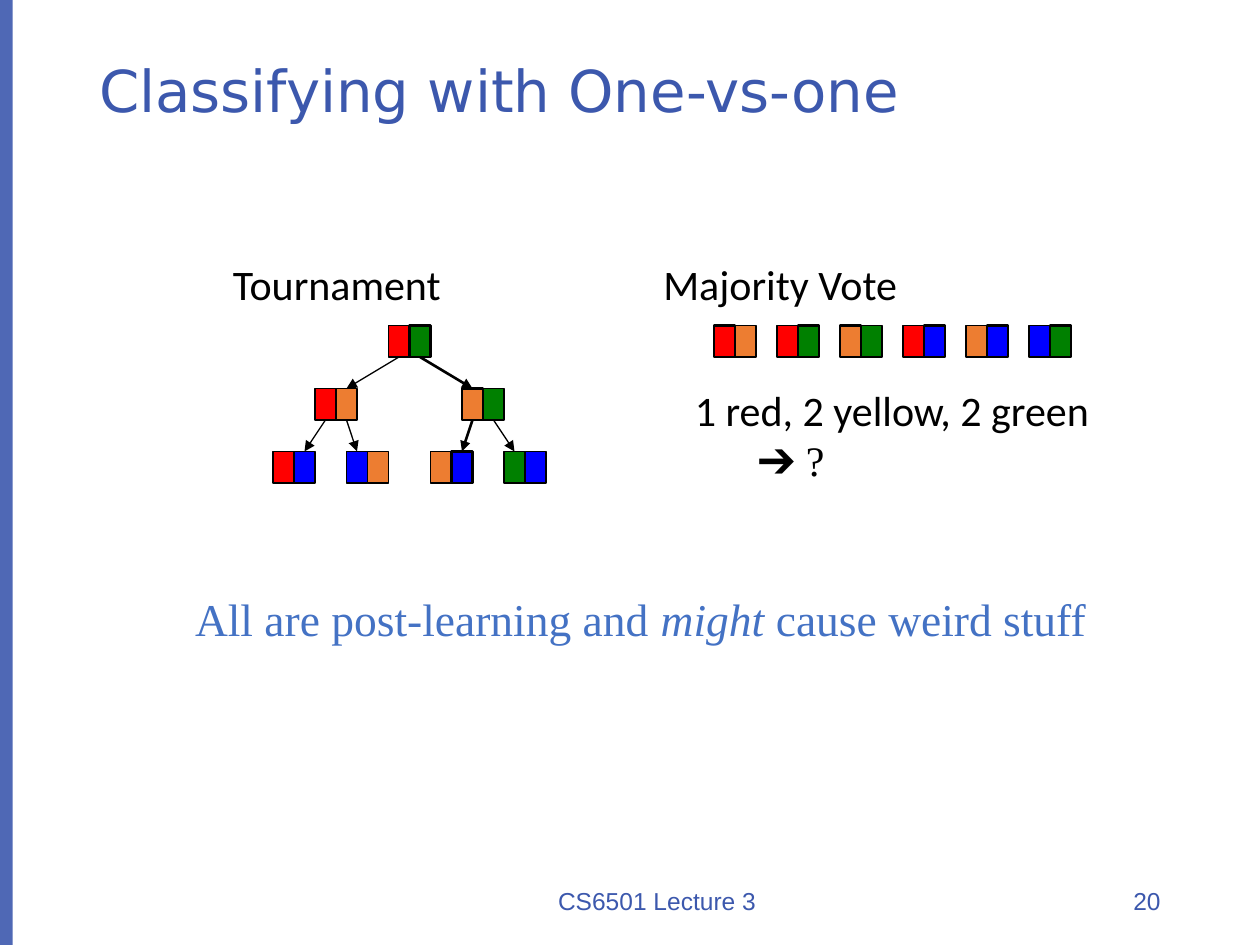
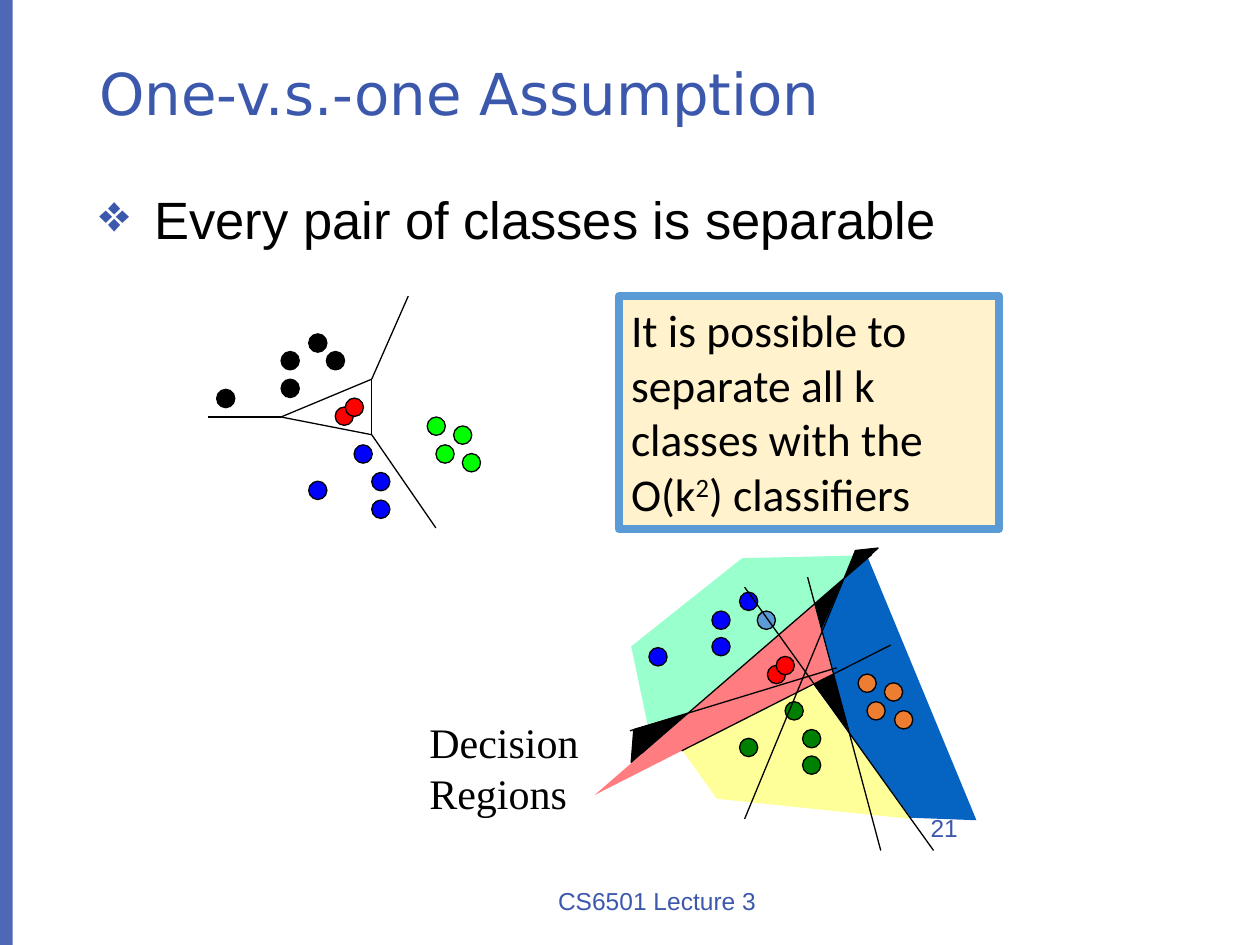
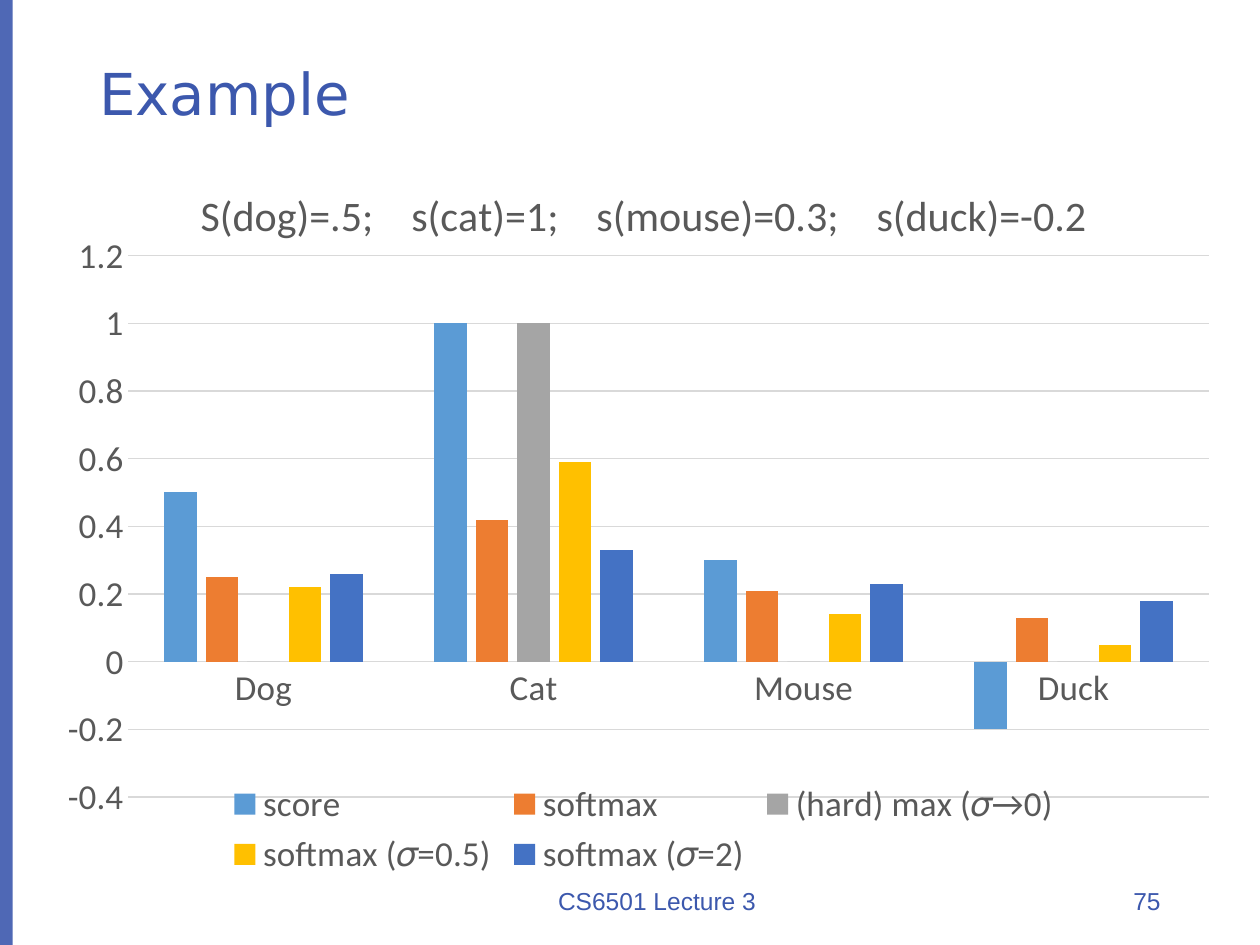
"""Build three lecture slides on multiclass classification."""
from lxml.etree import SubElement as Sub
from pptx import Presentation
from pptx.chart.data import CategoryChartData as Data
from pptx.dml.color import RGBColor as Rgb
from pptx.enum.chart import XL_CHART_TYPE as Kind, XL_LEGEND_POSITION as Spot, XL_TICK_MARK as Tick
from pptx.enum.shapes import MSO_CONNECTOR as Link, MSO_SHAPE as Form
from pptx.enum.text import MSO_ANCHOR as Anchor, PP_ALIGN as Align
from pptx.oxml.ns import qn
from pptx.util import Pt

INK = {
    "brand": "3C58AD", "black": "000000", "red": "FF0000", "green": "008000",
    "blue": "0000FF", "orange": "ED7D31", "lime": "00FF00", "sky": "5B9BD5",
    "azure": "4472C4", "cream": "FFF2CC", "pink": "FF7C80", "mint": "99FFCC",
    "yellow": "FFFF99", "navy": "0563C1", "gray": "A5A5A5", "gold": "FFC000",
    "text": "595959", "grid": "D9D9D9",
}
CODES = {"R": "red", "O": "orange", "G": "green", "B": "blue"}
SERIF = "Times New Roman"


def rgb(name):
    return Rgb.from_string(INK[name])


def apply(item, **form):
    for key, val in form.items():
        setattr(item, key, val)


def font(item, ink, **form):
    apply(item, **form)
    item.color.rgb = rgb(ink)


class Deck:
    """Holds the shared style and the current slide."""

    def __init__(self):
        self.show = Presentation()
        apply(self.show, slide_width=Pt(720), slide_height=Pt(540))

    def page(self, title, num, lead=0.9, spot=(565.2, 500.4, 105.1, 28.8)):
        self.slide = self.show.slides.add_slide(self.show.slide_layouts[6])
        self.shapes = self.slide.shapes
        bar = self.shape((0, 0, 7.2, 540), "brand")
        tint = bar.element.spPr.find(".//" + qn("a:srgbClr"))
        Sub(tint, qn("a:alpha"), val="90000")
        mid = {"vertical_anchor": Anchor.MIDDLE}
        self.text((49.7, 28.8, 620.6, 53.3), [[title]], 33, "DejaVu Sans", "brand",
                  mid, {"line_spacing": lead})
        for box, words, side in (((238.3, 500.4, 274.3, 28.8), "CS6501 Lecture 3", Align.CENTER),
                                 (spot, num, Align.RIGHT)):
            self.text(box, [[words]], 14, "Arial", "brand", mid, {"alignment": side})

    def paint(self, item, fill, line=None, width=0.75):
        item.shadow.inherit = False
        item.fill.solid()
        item.fill.fore_color.rgb = rgb(fill)
        if line:
            item.line.color.rgb = rgb(line)
            item.line.width = Pt(width)
        else:
            item.line.fill.background()
        return item

    def shape(self, box, fill, line=None, width=0.75, form=Form.RECTANGLE):
        item = self.shapes.add_shape(form, *map(Pt, box))
        return self.paint(item, fill, line, width)

    def words(self, item, paras, size, face, ink, frame=None, para=None):
        body = item.text_frame
        apply(body, **{"word_wrap": True, "vertical_anchor": Anchor.TOP, **(frame or {})})
        for num, parts in enumerate(paras):
            row = body.add_paragraph() if num else body.paragraphs[0]
            apply(row, **{"alignment": Align.LEFT, **(para or {})})
            for part in parts:
                words, form = (part, {}) if isinstance(part, str) else part
                run = row.add_run()
                run.text = words
                font(run.font, ink, **{"size": Pt(size), "name": face, **form})
        return item

    def text(self, box, *args):
        return self.words(self.shapes.add_textbox(*map(Pt, box)), *args)

    def label(self, box, paras, size, face, ink="black"):
        return self.text(box, paras, size, face, ink, {"word_wrap": False})

    def bullet(self, box, words):
        item = self.text(box, [[words]], 30, "Arial", "black", None,
                         {"line_spacing": 1.1, "space_before": Pt(7.5)})
        props = item.text_frame.paragraphs[0]._p.get_or_add_pPr()
        apart = Pt(31.5)
        props.set("marL", str(apart))
        props.set("indent", str(-apart))
        Sub(Sub(props, qn("a:buClr")), qn("a:srgbClr"), val=INK["brand"])
        Sub(props, qn("a:buChar"), char="❖")

    def line(self, start, end, width=0.75):
        item = self.shapes.add_connector(Link.STRAIGHT, *map(Pt, (*start, *end)))
        item.line.color.rgb = rgb("black")
        item.line.width = Pt(width)
        Sub(item.element.spPr, qn("a:effectLst"))
        return item

    def arrow(self, top, low, width):
        item = self.line((0, 0), (0, 0), width)
        item.begin_connect(top, 2)
        item.end_connect(low, 0)
        Sub(item.element.spPr.find(qn("a:ln")), qn("a:tailEnd"), type="triangle")

    def pair(self, left, top, code, bold=None):
        return [self.shape((left + 12 * num, top, 12, 18), CODES[key], "black",
                           1.5 if num == bold else 0.75) for num, key in enumerate(code)]

    def dots(self, groups):
        for ink, spots in groups:
            for left, top in spots:
                self.shape((left, top, 10.4, 10.5), ink, "black", form=Form.OVAL)

    def area(self, ink, points, line=None):
        first, *rest = [tuple(map(Pt, point)) for point in points]
        outline = self.shapes.build_freeform(*first)
        outline.add_line_segments(rest, close=True)
        self.paint(outline.convert_to_shape(), ink, line)

    def chart(self, box, title, cats, rows):
        data = Data()
        data.categories = cats
        for name, _, vals in rows:
            data.add_series(name, vals)
        chart = self.shapes.add_chart(Kind.COLUMN_CLUSTERED, *map(Pt, box), data).chart
        look = {"size": Pt(20), "name": "Calibri", "bold": False}
        font(chart.font, "text", **look)
        chart.has_title = True
        head = chart.chart_title.text_frame
        head.text = title
        font(head.paragraphs[0].runs[0].font, "text", **{**look, "size": Pt(24)})
        chart.has_legend = True
        apply(chart.legend, position=Spot.BOTTOM, include_in_layout=False)
        font(chart.legend.font, "text", **look)
        plot = chart.plots[0]
        apply(plot, gap_width=219, overlap=-27, vary_by_categories=False)
        for series, (_, ink, _) in zip(plot.series, rows):
            series.invert_if_negative = False
            series.format.fill.solid()
            series.format.fill.fore_color.rgb = rgb(ink)
        cat, val = chart.category_axis, chart.value_axis
        for axis in (cat, val):
            apply(axis, major_tick_mark=Tick.NONE, minor_tick_mark=Tick.NONE)
            font(axis.tick_labels.font, "text", **look)
        apply(val, minimum_scale=-0.4, maximum_scale=1.2, major_unit=0.2,
              has_major_gridlines=True)
        val.format.line.fill.background()
        for edge in (cat.format.line, val.major_gridlines.format.line):
            edge.color.rgb = rgb("grid")
            edge.width = Pt(0.75)
        area = chart.element.find(".//" + qn("c:plotArea"))
        lay = area.find(qn("c:layout"))
        if lay is None:
            lay = Sub(area, qn("c:layout"))
            area.insert(0, lay)
        man = Sub(lay, qn("c:manualLayout"))
        for tag, value in (("layoutTarget", "inner"), ("xMode", "edge"), ("yMode", "edge"),
                           ("x", "0.064"), ("y", "0.134"), ("w", "0.914"), ("h", "0.747")):
            Sub(man, qn("c:" + tag), val=value)


def voting(deck):
    deck.page("Classifying with One-vs-one", "20", 0.75)
    root = deck.pair(222, 186, "RG", 1)
    west, east = deck.pair(180, 222, "RO"), deck.pair(264, 222, "OG", 0)
    leaves = [deck.pair(left, 258, code, bold) for left, code, bold in
              ((156, "RB", None), (198, "BO", None), (246, "OB", 1), (288, "GB", None))]
    for tops, lows, bold in ((root, (west, east), 1), (west, leaves[:2], None),
                             (east, leaves[2:], 0)):
        for num, (top, low) in enumerate(zip(tops, lows)):
            deck.arrow(top, low[1 - num], 1.5 if num == bold else 0.75)
    deck.label((126, 144, 134.6, 36.7), [["Tournament"]], 24, "Calibri")
    for num, (code, bold) in enumerate((("RO", 0), ("RG", 1), ("OG", 0),
                                        ("RB", 1), ("OB", 1), ("BG", 1))):
        deck.pair(408 + 36 * num, 186, code, bold)
    deck.label((390, 216, 242, 65.5),
               [["1 red, 2 yellow, 2 green"], [("\t➔ ?", {"name": SERIF})]], 24, "Calibri")
    deck.label((372, 144, 151.2, 36), [["Majority Vote"]], 24, "Calibri")
    deck.label((104.4, 334, 527.8, 38.9),
               [["All are post-learning and ", ("might", {"italic": True}),
                 " cause weird stuff"]], 26, SERIF, "azure")


def regions(deck):
    deck.page("One-v.s.-one Assumption", "21", spot=(392.4, 458.6, 162, 28.8))
    deck.bullet((49.7, 100, 620.6, 386.6), "Every pair of classes is separable")
    top, left, low = (212.4, 216.7), (160.6, 238.3), (212.4, 248.4)
    for start, end in ((top, left), (left, low), (low, top), (low, (249.1, 301.7)),
                       (top, (233.3, 169.2)), (left, (118.8, 238.3))):
        deck.line(start, end)
    deck.dots((
        ("black", ((160.6, 200.9), (176.4, 190.8), (186.5, 200.9), (160.6, 216.7), (123.8, 222.5))),
        ("blue", ((176.4, 275), (202.3, 254.2), (212.4, 270), (212.4, 285.8))),
        ("red", ((191.5, 232.6), (197.3, 227.5))),
        ("lime", ((249.1, 254.2), (259.2, 243.4), (264.2, 259.2), (244.1, 238.3))),
    ))
    note = deck.shape((353.5, 169.2, 217.4, 133.2), "cream", "sky", 4.5)
    deck.words(note, [["It is possible to separate all k classes with the O(k", "2",
                       ") classifiers"]], 26, "Calibri", "black")
    note.element.findall(".//" + qn("a:rPr"))[1].set("baseline", "30000")
    deck.label((238.3, 406.1, 105.8, 64.8), [["Decision"], ["Regions"]], 24, SERIF)
    for gap in (((483.1, 329.8), (501.8, 313.2), (488.9, 314.6)),
                ((465.1, 391), (476.6, 385.2), (485.3, 417.6)),
                ((465.8, 344.9), (482.4, 331.2), (470.2, 360.7))):
        deck.area("black", gap, "black")
    for ink, points in (
        ("pink", ((394.6, 406.8), (465.1, 344.9), (475.9, 385.2), (339.8, 454.3))),
        ("mint", ((370.1, 414), (393.1, 407.5), (482.4, 330.5), (487.4, 317.5),
                  (424.1, 319), (360.7, 369.4))),
        ("yellow", ((390.2, 429.1), (464.4, 391), (520.6, 468), (409.7, 456.5))),
        ("navy", ((482.4, 330.5), (469.4, 360), (486, 419.8), (520.6, 467.3),
                  (558, 468.7), (496.1, 319))),
    ):
        deck.area(ink, points)
    deck.dots((
        ("blue", ((406.8, 349.2), (422.6, 338.4), (406.8, 364.3), (370.8, 370.1))),
        ("green", ((422.6, 421.9), (448.6, 401), (458.6, 416.9), (458.6, 432))),
        ("red", ((438.5, 380.2), (443.5, 375.1))),
        ("orange", ((495.4, 401), (505.4, 390.2), (511.2, 406.1), (490.3, 385.2))),
        ("sky", ((432.7, 349.2),)),
    ))
    for start, end in (((498.2, 316.8), (366.5, 430.6)), ((461.5, 329.8), (503.3, 486)),
                       ((389.5, 429.1), (509, 368.6)), ((425.5, 335.5), (533.5, 486)),
                       ((360, 417.6), (478.1, 381.6)), ((488.9, 314.6), (425.5, 468))):
        deck.line(start, end)
    deck.area("black", ((362.2, 416.9), (391.7, 408.2), (360.7, 435.6)), "black")


def scores(deck):
    deck.page("Example", "75")
    deck.chart((30.2, 90.7, 675.4, 414),
               "S(dog)=.5;    s(cat)=1;    s(mouse)=0.3;    s(duck)=-0.2",
               ("Dog", "Cat", "Mouse", "Duck"), (
                   ("score", "sky", (0.5, 1, 0.3, -0.2)),
                   ("softmax", "orange", (0.25, 0.42, 0.21, 0.13)),
                   ("(hard) max (𝜎→0)", "gray", (0, 1, 0, 0)),
                   ("softmax (𝜎=0.5)", "gold", (0.22, 0.59, 0.14, 0.05)),
                   ("softmax (𝜎=2)", "azure", (0.26, 0.33, 0.23, 0.18))))


def main():
    deck = Deck()
    for build in (voting, regions, scores):
        build(deck)
    deck.show.save("out.pptx")


if __name__ == "__main__":
    main()
